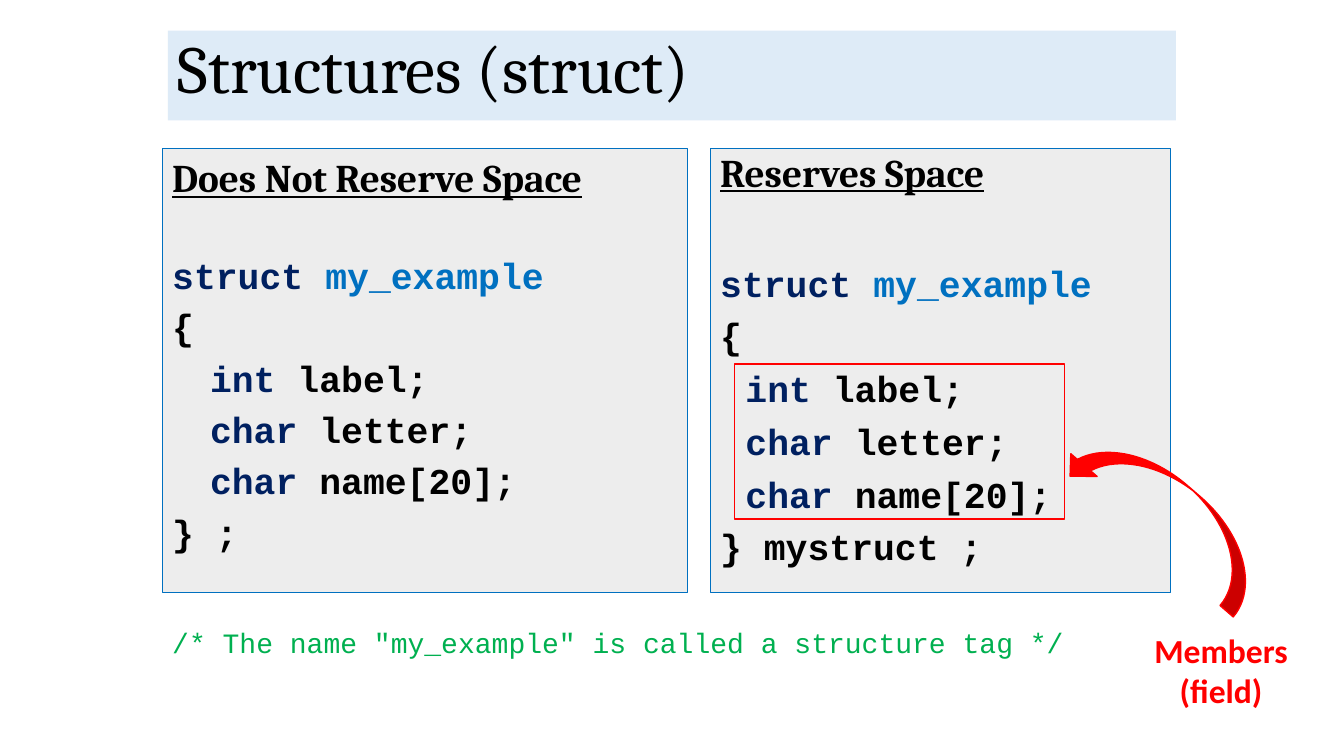
from pptx import Presentation
from pptx.dml.color import RGBColor
from pptx.enum.shapes import MSO_SHAPE as Preset
from pptx.enum.text import PP_ALIGN as Align, MSO_ANCHOR as Anchor
from pptx.util import Pt

COLOURS = {
    "title_band": "DEEBF7", "panel": "EDEDED", "outline": "0070C0",
    "text": "000000", "keyword": "002060", "tag": "0070C0",
    "comment": "00B050", "highlight": "FF0000",
}


def add_box(preset, left, top, width, height, fill=None, line=None, weight=1):
    shape = slide.shapes.add_shape(preset, Pt(left), Pt(top), Pt(width), Pt(height))
    shape.shadow.inherit = False
    for part, colour in ((shape.fill, fill), (shape.line.fill, line)):
        if colour:
            part.solid()
            part.fore_color.rgb = RGBColor.from_string(COLOURS[colour])
        else:
            part.background()
    if line:
        shape.line.width = Pt(weight)
    return shape


def add_text(shape, *runs, font="Courier New", size=26, bold=False, underline=False,
             align=Align.LEFT, spacing=1.0, before=0, indent=0):
    """Add one paragraph; each run is a (text, colour name) pair."""
    frame = shape.text_frame
    frame.word_wrap = True
    frame.vertical_anchor = Anchor.TOP
    paragraph = frame.paragraphs[0]
    if paragraph.runs:
        paragraph = frame.add_paragraph()
    paragraph.alignment = align
    paragraph.line_spacing = spacing
    paragraph.space_before = Pt(before)
    if indent:
        paragraph._p.get_or_add_pPr().set("marL", str(Pt(indent)))
    for text, colour in runs:
        run = paragraph.add_run()
        run.text = text
        run.font.name = font
        run.font.size = Pt(size)
        run.font.bold = bold
        run.font.underline = underline
        run.font.color.rgb = RGBColor.from_string(COLOURS[colour])


presentation = Presentation()
presentation.slide_width, presentation.slide_height = Pt(960), Pt(540)
slide = presentation.slides.add_slide(presentation.slide_layouts[6])

# Title
title = add_box(Preset.RECTANGLE, 120, 21.9, 720, 64.1, fill="title_band")
add_text(title, ("Structures (struct)", "text"), font="Cambria", size=48, spacing=0.9)

# Code panels: left, width, heading, closing line, line spacing, gaps, indent
panels = [
    (507.4, 329, "Reserves Space", "} mystruct ;", 0.9, 9.6, 50, 18),
    (115.9, 375.1, "Does Not Reserve Space", "} ;", 1.0, 5.5, 37.5, 27),
]
members = [("int", " label;"), ("char", " letter;"), ("char", " name[20];")]
for left, width, heading, closing, spacing, gap, heading_gap, indent in panels:
    panel = add_box(Preset.RECTANGLE, left, 106, width, 317.5,
                    fill="panel", line="outline", weight=0.75)
    add_text(panel, (heading, "text"), font="Cambria", size=28, bold=True,
             underline=True, spacing=spacing)
    code = {"bold": True, "spacing": spacing}
    add_text(panel, ("struct ", "keyword"), ("my_example", "tag"),
             before=heading_gap, **code)
    add_text(panel, ("{", "text"), before=gap, **code)
    for keyword, name in members:
        add_text(panel, (keyword, "keyword"), (name, "text"),
                 before=gap, indent=indent, **code)
    add_text(panel, (closing, "text"), before=gap, **code)

# Comment and members label
comment = slide.shapes.add_textbox(Pt(115.9), Pt(443.5), Pt(723.6), Pt(31.5))
add_text(comment, ('/* The name "my_example" is called a structure tag */', "comment"),
         size=20)
label = slide.shapes.add_textbox(Pt(802), Pt(446.4), Pt(140.4), Pt(65.5))
add_text(label, ("Members (field)", "highlight"), font="Calibri", size=24,
         bold=True, align=Align.CENTER)

# Frame around the members and its arrow
add_box(Preset.RECTANGLE, 524.9, 259.9, 235.4, 110.9, line="highlight")
arrow = add_box(Preset.CURVED_DOWN_ARROW, 751, 342.7, 166.3, 49.7,
                fill="highlight", line="highlight")
arrow.rotation = 220.8
arrow._element.spPr.xfrm.set("flipV", "1")

presentation.save("out.pptx")
